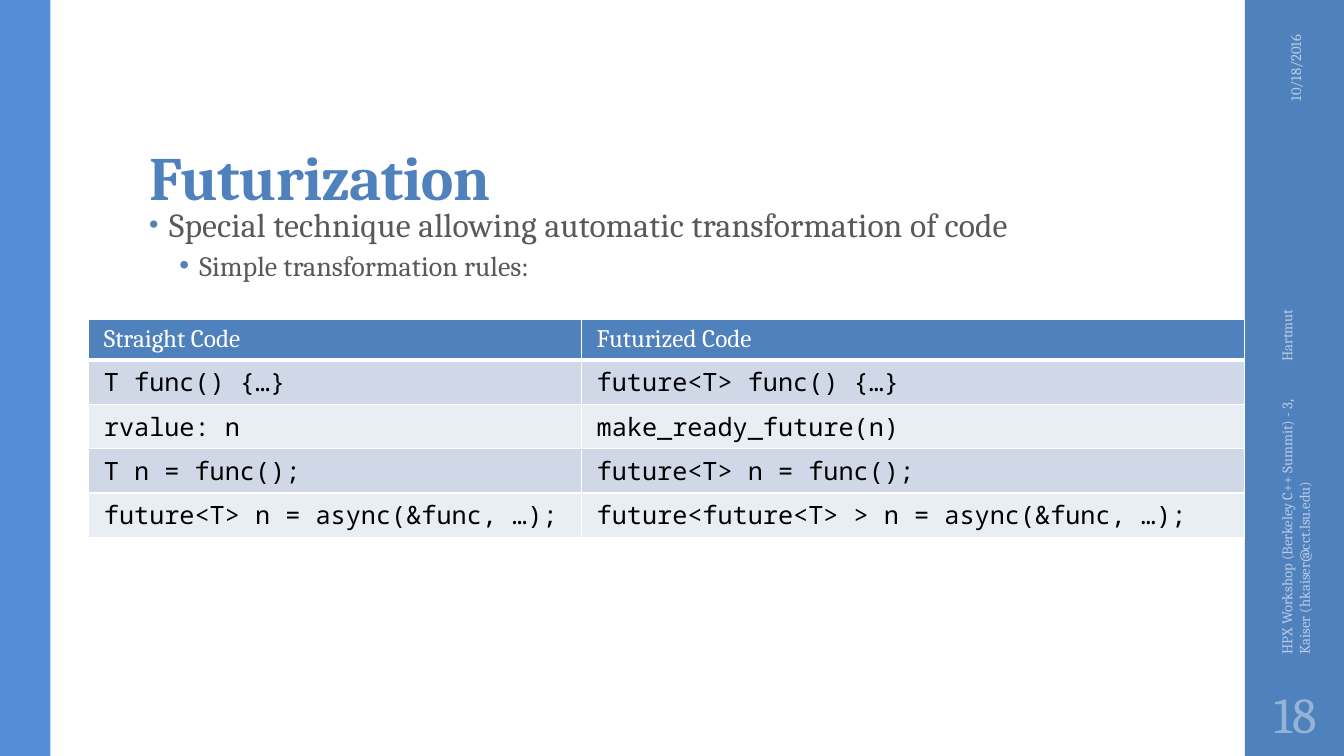
from dataclasses import dataclass

from lxml import etree
from pptx import Presentation
from pptx.dml.color import RGBColor
from pptx.enum import shapes, text
from pptx.oxml import ns
from pptx.util import Pt

HUES = {
    "white": "FFFFFF", "black": "000000", "blue": "4F81BD", "sky": "558ED5",
    "grey": "595959", "pale": "B9CDE5", "mist": "95B3D7",
    "odd": "D0D8E8", "even": "E9EDF4",
}
SERIF, MONO = "Cambria", "Noto Sans Mono"
LEFT, RIGHT, MID = text.PP_ALIGN.LEFT, text.PP_ALIGN.RIGHT, text.PP_ALIGN.CENTER
WIDE, HIGH = 960, 540
EDGE = 889.2  # left side of the right-hand band


@dataclass
class Band:
    left: float
    width: float
    hue: str


@dataclass
class Label:
    words: str
    box: tuple[float, float, float, float]
    size: float
    hue: str
    align: text.PP_ALIGN = LEFT
    turn: float = 0
    pad: float = 7.2
    tab: float = 0


@dataclass
class Point:
    words: str
    size: float
    level: int
    indent: float
    line: float
    before: float
    after: float
    scale: int
    track: int


BANDS = [Band(EDGE, 72, "blue"), Band(0, 36, "sky")]
LABELS = [
    Label("10/18/2016", (850.3, 78.5, 149.8, 28.8), 10.5, "pale", RIGHT, 270),
    Label("HPX Workshop (Berkeley C++ Summit) - 3,\tHartmut Kaiser (hkaiser@cct.lsu.edu)",
          (784.1, 319, 282.2, 28.8), 10.5, "pale", turn=270, tab=209),
    Label("18", (EDGE, 486, 72, 46.8), 36, "mist", MID, pad=3.6),
]
POINTS = [
    Point("Special technique allowing automatic transformation of code",
          24, 0, 14.4, 0.95, 14, 2, 80, 10),
    Point("Simple transformation rules:", 20, 1, 36, 0.9, 3, 3, 100, 0),
]
ROWS = [
    ("Straight Code", "Futurized Code"),
    ("T func() {…}", "future<T> func() {…}"),
    ("rvalue: n", "make_ready_future(n)"),
    ("T n = func();", "future<T> n = func();"),
    ("future<T> n = async(&func, …);", "future<future<T> > n = async(&func, …);"),
]
COLS = (352, 473.8)
HEAD, ROW = 27.5, 31.7


def rgb(hue: str) -> RGBColor:
    return RGBColor.from_string(HUES[hue])


def node(host, tag: str, **attrs):
    return etree.SubElement(host, ns.qn(tag), {k: str(v) for k, v in attrs.items()})


def style(para, size: float, hue: str, face: str = SERIF,
          bold: bool = False, track: int = 0) -> None:
    for run in para.runs:
        font = run.font
        font.name, font.size, font.bold = face, Pt(size), bold
        font.color.rgb = rgb(hue)
        if track:
            run._r.get_or_add_rPr().set("spc", str(track))


def add_frame(slide, box: tuple, pad: float = 7.2):
    shape = slide.shapes.add_textbox(*map(Pt, box))
    frame = shape.text_frame
    frame.word_wrap = True
    frame.margin_left = frame.margin_right = Pt(pad)
    return shape, frame


def add_band(slide, band: Band) -> None:
    shape = slide.shapes.add_shape(shapes.MSO_SHAPE.RECTANGLE, Pt(band.left), 0,
                                   Pt(band.width), Pt(HIGH))
    shape.shadow.inherit = False
    shape.fill.solid()
    shape.fill.fore_color.rgb = rgb(band.hue)
    shape.line.fill.background()


def add_title(slide) -> None:
    _, frame = add_frame(slide, (99.4, 23, 763.2, 133.2))
    frame.margin_top = Pt(2.2)
    frame.vertical_anchor = text.MSO_ANCHOR.BOTTOM
    frame.text = "Futurization"
    para = frame.paragraphs[0]
    para.line_spacing = 0.9
    style(para, 44, "blue", bold=True, track=-50)


def add_points(slide) -> None:
    _, frame = add_frame(slide, (99.4, 144, 779.8, 342.7))
    frame.text = "\n".join(p.words for p in POINTS)
    for para, item in zip(frame.paragraphs, POINTS):
        para.level = item.level
        para.line_spacing = item.line
        para.space_before, para.space_after = Pt(item.before), Pt(item.after)
        style(para, item.size, "grey", track=item.track)
        props = para._p.get_or_add_pPr()
        props.set("marL", str(Pt(item.indent)))
        props.set("indent", str(Pt(-14.4)))
        node(node(props, "a:buClr"), "a:srgbClr", val=HUES["blue"])
        node(props, "a:buSzPct", val=item.scale * 1000)
        node(props, "a:buFont", typeface="Arial")
        node(props, "a:buChar", char="•")


def add_label(slide, label: Label) -> None:
    shape, frame = add_frame(slide, label.box, label.pad)
    shape.rotation = label.turn
    frame.vertical_anchor = text.MSO_ANCHOR.MIDDLE
    frame.text = label.words
    para = frame.paragraphs[0]
    para.alignment = label.align
    style(para, label.size, label.hue)
    if label.tab:
        tabs = node(para._p.get_or_add_pPr(), "a:tabLst")
        node(tabs, "a:tab", pos=Pt(label.tab), algn="l")


def fill_cell(cell, words: str, row: int) -> None:
    head = row == 0
    cell.margin_left = cell.margin_right = Pt(10.8)
    cell.text_frame.text = words
    style(cell.text_frame.paragraphs[0], 18, "white" if head else "black",
          SERIF if head else MONO)
    # Borders come before the fill in the cell properties
    for side in "LRTB":
        width = 3 if head and side == "B" else 1
        line = node(cell._tc.get_or_add_tcPr(), f"a:ln{side}", w=Pt(width))
        node(node(line, "a:solidFill"), "a:srgbClr", val=HUES["white"])
    cell.fill.solid()
    cell.fill.fore_color.rgb = rgb("blue" if head else "odd" if row % 2 else "even")


def add_rules(slide) -> None:
    tall = HEAD + ROW * (len(ROWS) - 1)
    grid = slide.shapes.add_table(len(ROWS), len(COLS), Pt(63.4), Pt(228.2),
                                  Pt(sum(COLS)), Pt(tall)).table
    for col, width in zip(grid.columns, COLS):
        col.width = Pt(width)
    for r, pair in enumerate(ROWS):
        grid.rows[r].height = Pt(ROW if r else HEAD)
        for c, words in enumerate(pair):
            fill_cell(grid.cell(r, c), words, r)


def main() -> None:
    deck = Presentation()
    deck.slide_width, deck.slide_height = Pt(WIDE), Pt(HIGH)
    slide = deck.slides.add_slide(deck.slide_layouts[6])
    # Side bands
    for band in BANDS:
        add_band(slide, band)
    # Title and bullets
    add_title(slide)
    add_points(slide)
    # Date, footer and page number
    for label in LABELS:
        add_label(slide, label)
    # Table of transformation rules
    add_rules(slide)
    deck.save("out.pptx")


if __name__ == "__main__":
    main()
